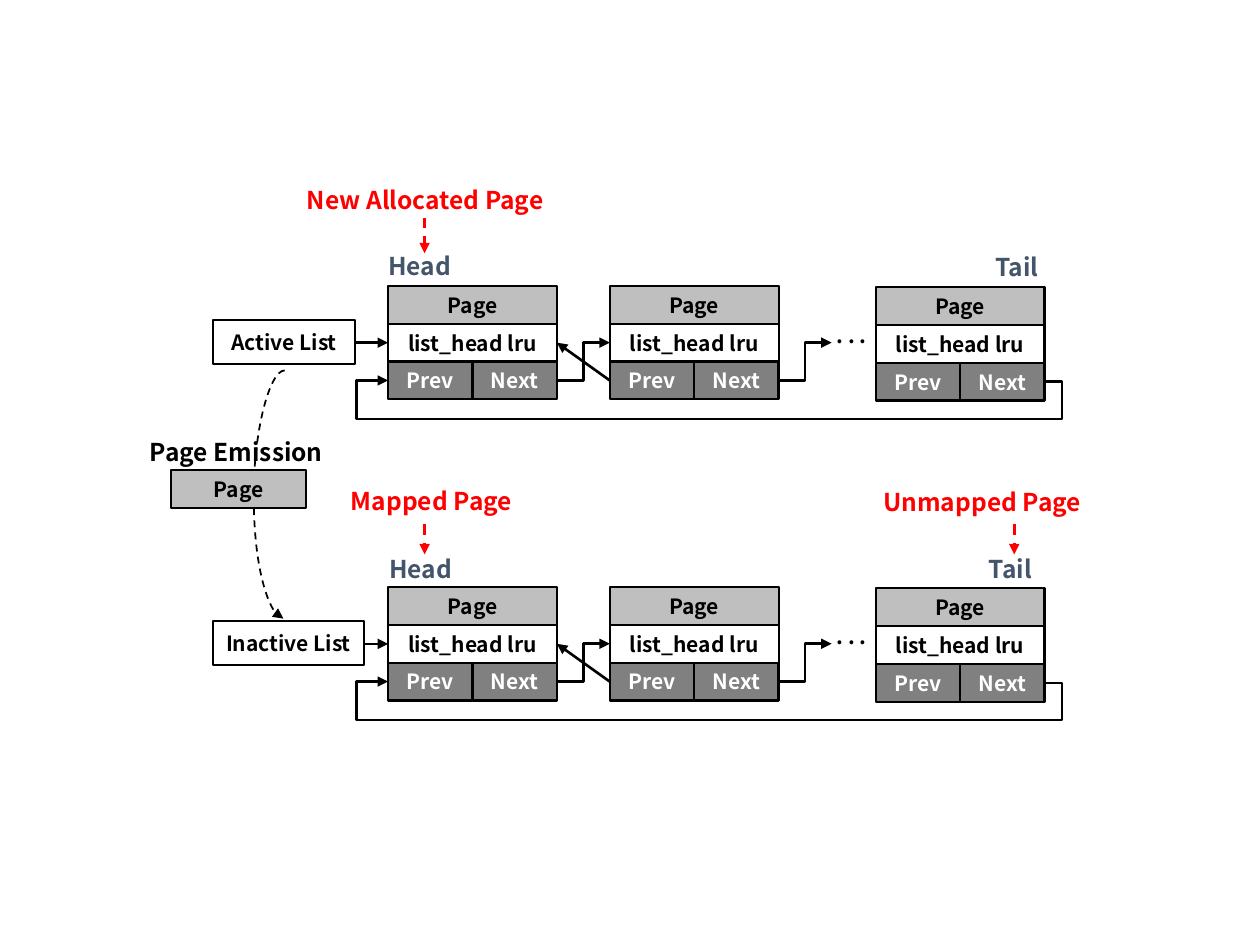
from lxml.etree import SubElement
from pptx import Presentation
from pptx.dml.color import RGBColor
from pptx.enum.dml import MSO_LINE
from pptx.enum.shapes import MSO_CONNECTOR, MSO_SHAPE
from pptx.enum.text import MSO_ANCHOR, PP_ALIGN
from pptx.oxml.ns import qn
from pptx.util import Inches, Pt

# Content
FONT = "Noto Sans CJK KR"
BLACK, WHITE, RED, SLATE = "000000", "FFFFFF", "FF0000", "44546A"
LIGHT, DARK = "BFBFBF", "808080"

LISTS = [  # name, box width, top of the chain
    ("Active List", 1.13, 2.27),
    ("Inactive List", 1.2, 4.66),
]
NODES = [(3.08, 0), (4.84, 0), (6.95, 0.01)]  # left, drop below the chain top
NODE_WIDTH, ROW = 1.34, 0.3
CELLS = [  # text, column, row, columns spanned, fill, text colour
    ("Page", 0, 0, 2, LIGHT, BLACK),
    ("list_head lru", 0, 1, 2, None, BLACK),
    ("Prev", 0, 2, 1, DARK, WHITE),
    ("Next", 1, 2, 1, DARK, WHITE),
]
LABELS = [  # text, left, top, width, colour
    ("Head", 2.86, 1.94, 0.94, SLATE),
    ("Tail", 7.6, 1.95, 0.94, SLATE),
    ("New Allocated Page", 2.22, 1.42, 2.31, RED),
    ("Mapped Page", 2.27, 3.81, 2.31, RED),
    ("Unmapped Page", 6.8, 3.82, 1.99, RED),
    ("Head", 2.87, 4.35, 0.94, SLATE),
    ("Tail", 7.55, 4.35, 0.94, SLATE),
    ("Page Emission", 0.88, 3.42, 1.99, BLACK),
]
RED_ARROWS = [(3.37, 1.73, 2.01), (3.37, 4.16, 4.4), (8.05, 4.16, 4.4)]  # x, from, to


def rgb(value):
    return RGBColor.from_string(value)


def write(shape, text, size=12, color=BLACK, anchor=MSO_ANCHOR.MIDDLE, side=0.1):
    frame = shape.text_frame
    frame.word_wrap = True
    frame.vertical_anchor = anchor
    frame.margin_left = frame.margin_right = Inches(side)
    paragraph = frame.paragraphs[0]
    paragraph.alignment = PP_ALIGN.CENTER
    run = paragraph.add_run()
    run.text = text
    run.font.name, run.font.size, run.font.bold = FONT, Pt(size), True
    run.font.color.rgb = rgb(color)


def add_box(shapes, text, left, top, width, height, fill=None, outline=True, **text_format):
    shape = shapes.add_shape(MSO_SHAPE.RECTANGLE, Inches(left), Inches(top),
                             Inches(width), Inches(height))
    shape.shadow.inherit = False
    if fill:
        shape.fill.solid()
        shape.fill.fore_color.rgb = rgb(fill)
    else:
        shape.fill.background()
    if outline:
        shape.line.color.rgb = rgb(BLACK)
        shape.line.width = Pt(1.25)
    else:
        shape.line.fill.background()
    write(shape, text, **text_format)


def add_arrow(shapes, start, end, kind=MSO_CONNECTOR.STRAIGHT, preset=None, adjust=(),
              color=BLACK, width=1.5, dashed=False):
    points = [Inches(value) for value in (*start, *end)]
    arrow = shapes.add_connector(kind, *points)
    arrow.line.color.rgb = rgb(color)
    arrow.line.width = Pt(width)
    if dashed:
        arrow.line.dash_style = MSO_LINE.DASH
    properties = arrow._element.spPr
    SubElement(properties.find(qn("a:ln")), qn("a:tailEnd"), type="triangle")
    SubElement(properties, qn("a:effectLst"))
    geometry = properties.find(qn("a:prstGeom"))
    if preset:
        geometry.set("prst", preset)
    if adjust:
        guides = geometry.find(qn("a:avLst"))
        if guides is None:
            guides = SubElement(geometry, qn("a:avLst"))
        for number, value in enumerate(adjust, 1):
            SubElement(guides, qn("a:gd"), name=f"adj{number}",
                       fmla=f"val {round(value * 100000)}")


def add_chain(shapes, top):
    """Three linked nodes, the dots and the link from the tail to the head."""
    list_y, link_y = top + 1.5 * ROW, top + 2.5 * ROW
    add_box(shapes, ". . .", 6.49, top + 0.21, 0.54, 0.36, fill=WHITE, outline=False)
    for left, drop in NODES:
        for text, column, row, span, fill, color in CELLS:
            cell = NODE_WIDTH / 2
            add_box(shapes, text, left + column * cell, top + drop + row * ROW,
                    span * cell, ROW, fill=fill, color=color)
    first, second, tail = (left for left, drop in NODES)
    gap = second - first - NODE_WIDTH
    for left in (first, second):
        right = left + NODE_WIDTH
        add_arrow(shapes, (right, link_y), (right + gap, list_y), MSO_CONNECTOR.ELBOW)
    add_arrow(shapes, (second, link_y), (second - gap, list_y))
    # Loop: 0.14 beyond the tail, 0.3 below the links, 0.25 before the head
    start, drop = tail + NODE_WIDTH, NODES[-1][1]
    length = start - first
    add_arrow(shapes, (start, link_y + drop), (first, link_y), MSO_CONNECTOR.ELBOW,
              preset="bentConnector5",
              adjust=(-0.14 / length, -0.3 / drop, 1 + 0.25 / length))


presentation = Presentation()
presentation.slide_width, presentation.slide_height = Inches(10), Inches(7.5)
slide = presentation.slides.add_slide(presentation.slide_layouts[6])

# Lists with their chains
for name, width, top in LISTS:
    add_chain(slide.shapes.add_group_shape().shapes, top)
    add_box(slide.shapes, name, 1.69, top + 0.27, width, 0.35, side=0)
    list_y = top + 1.5 * ROW
    add_arrow(slide.shapes, (1.69 + width, list_y), (NODES[0][0], list_y))

# Labels and their dashed arrows
for text, left, top, width, color in LABELS:
    label = slide.shapes.add_textbox(Inches(left), Inches(top), Inches(width), Inches(0.34))
    write(label, text, size=14, color=color, anchor=MSO_ANCHOR.TOP)
for x, start, end in RED_ARROWS:
    add_arrow(slide.shapes, (x, start), (x, end), color=RED, dashed=True)

# Page moving from the active to the inactive list
add_arrow(slide.shapes, (2.26, 2.94), (2.25, 4.91), MSO_CONNECTOR.CURVE,
          adjust=(25,), width=1, dashed=True)
add_box(slide.shapes, "Page", 1.36, 3.73, 1.07, 0.3, fill=LIGHT)

presentation.save("out.pptx")
